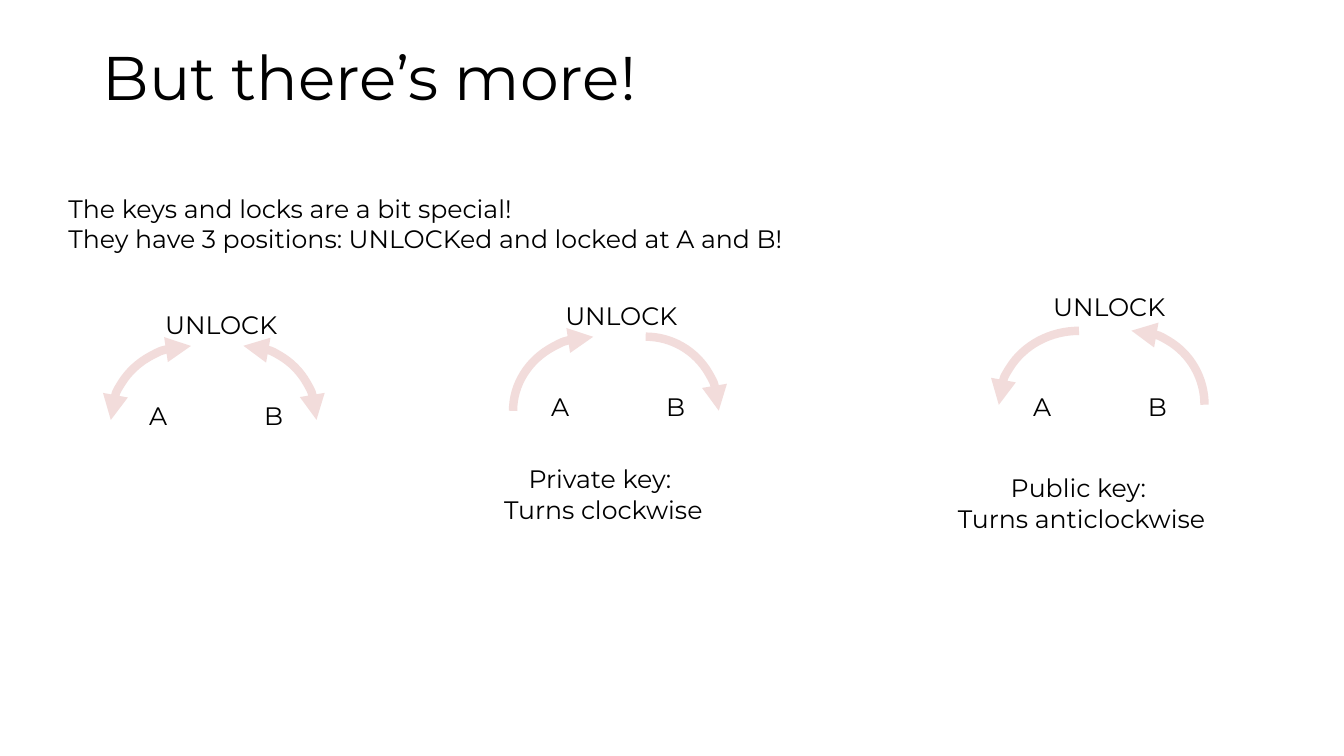
"""Build the slide on locks with three positions."""
from dataclasses import dataclass

from lxml.etree import SubElement as Sub
from pptx import Presentation as Deck
from pptx.dml.color import RGBColor as Color
from pptx.enum.shapes import MSO_SHAPE as Kind
from pptx.enum.text import MSO_ANCHOR as Anchor, MSO_AUTO_SIZE as Fit, PP_ALIGN as Align
from pptx.oxml.ns import qn
from pptx.slide import Slide
from pptx.text.text import TextFrame as Frame
from pptx.util import Pt


@dataclass(frozen=True)
class Theme:
    font: str = "Montserrat"
    ink: Color = Color.from_string("000000")
    rose: Color = Color.from_string("F2DCDB")
    title: float = 44
    body: float = 18
    stroke: float = 6


@dataclass(frozen=True)
class Box:
    left: float
    top: float
    width: float
    height: float

    def shift(self, dx: float, dy: float) -> "Box":
        return Box(self.left + dx, self.top + dy, self.width, self.height)


@dataclass(frozen=True)
class Dial:
    label: tuple[float, float]
    arc: tuple[float, float]
    mark: tuple[float, float]
    ends: tuple[str, ...]


@dataclass(frozen=True)
class Note:
    text: str
    box: Box
    align: Align = Align.LEFT
    wrap: bool = False


THEME = Theme()
LABEL = Box(0, 0, 95.8, 28.8)
MARKS = {"A": Box(0, 0, 27.4, 28.8), "B": Box(82.1, 0, 28.1, 28.8)}
ARCS = {0: Box(0, 0, 104.4, 105.8), 270: Box(-38.2, -4.3, 105.8, 114.5)}
DIALS = (
    Dial((110.9, 217.4), (121.7, 247), (99.4, 282.2), ("headEnd", "tailEnd")),
    Dial((396.7, 211), (409, 240.5), (386.6, 275.8), ("tailEnd",)),
    Dial((745.2, 204.5), (756, 236.2), (730.8, 275.8), ("headEnd",)),
)
NOTES = (
    Note("The keys and locks are a bit special!\n"
         "They have 3 positions: UNLOCKed and locked at A and B!",
         Box(41.8, 134.6, 531.4, 51.1)),
    Note("Private key: \nTurns clockwise", Box(347.8, 327.6, 166.3, 51.1),
         Align.CENTER, True),
    Note("Public key: \nTurns anticlockwise", Box(675.4, 334.1, 194.4, 51.1),
         Align.CENTER),
)


def place(box: Box) -> tuple[Pt, Pt, Pt, Pt]:
    """Return the box as lengths."""
    return Pt(box.left), Pt(box.top), Pt(box.width), Pt(box.height)


def write(frame: Frame, text: str, *, size: float = THEME.body,
          align: Align = Align.LEFT, space: float = 1) -> None:
    """Fill a frame with text in one format."""
    frame.text = text
    for para in frame.paragraphs:
        para.alignment = align
        para.line_spacing = space
        for run in para.runs:
            run.font.name = THEME.font
            run.font.size = Pt(size)
            run.font.color.rgb = THEME.ink


def add_title(slide: Slide, text: str, box: Box) -> None:
    """Move and fill the title."""
    title = slide.shapes.title
    title.left, title.top, title.width, title.height = place(box)
    frame = title.text_frame
    frame.auto_size = Fit.NONE
    frame.vertical_anchor = Anchor.MIDDLE
    write(frame, text, size=THEME.title, space=0.9)


def add_note(slide: Slide, note: Note) -> None:
    """Add a box of text."""
    frame = slide.shapes.add_textbox(*place(note.box)).text_frame
    frame.word_wrap = note.wrap
    frame.auto_size = Fit.SHAPE_TO_FIT_TEXT
    write(frame, note.text, align=note.align)


def add_arc(slide: Slide, box: Box, turn: float, ends: tuple[str, ...]) -> None:
    """Add a curved arrow with the given ends."""
    arc = slide.shapes.add_shape(Kind.ARC, *place(box))
    arc.rotation = turn
    arc.shadow.inherit = False
    arc.fill.background()
    arc.line.color.rgb = THEME.rose
    arc.line.width = Pt(THEME.stroke)
    line = arc.element.spPr.find(qn("a:ln"))
    for end in ends:
        Sub(line, qn(f"a:{end}"), type="triangle")


def add_dial(slide: Slide, dial: Dial) -> None:
    """Add the arcs and labels of one lock."""
    for turn, box in ARCS.items():
        add_arc(slide, box.shift(*dial.arc), turn, dial.ends)
    add_note(slide, Note("UNLOCK", LABEL.shift(*dial.label)))
    for mark, box in MARKS.items():
        add_note(slide, Note(mark, box.shift(*dial.mark)))


def main() -> None:
    """Build and save the deck."""
    deck = Deck()
    deck.slide_width, deck.slide_height = Pt(960), Pt(540)
    slide = deck.slides.add_slide(deck.slide_layouts.get_by_name("Title Only"))
    add_title(slide, "But there’s more!", Box(66.2, 28.8, 828, 56.9))
    for dial in DIALS:
        add_dial(slide, dial)
    for note in NOTES:
        add_note(slide, note)
    deck.save("out.pptx")


if __name__ == "__main__":
    main()
